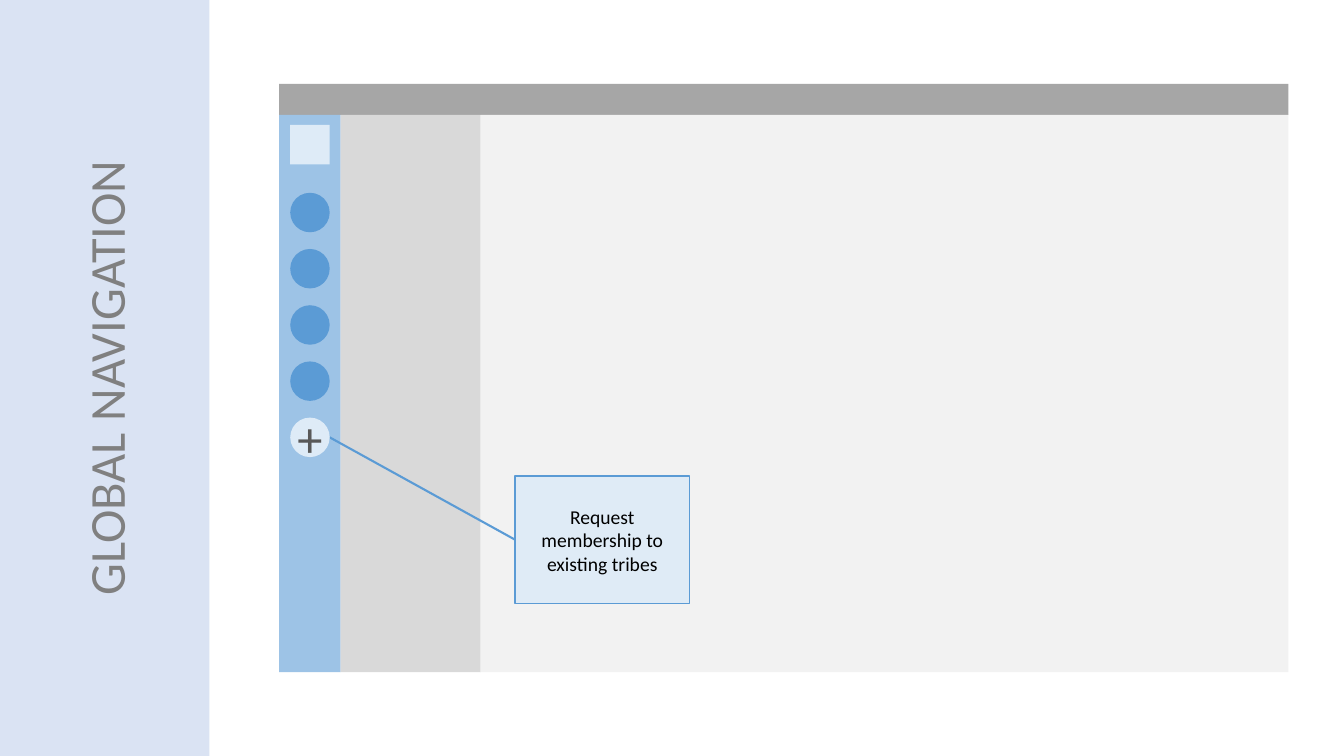
from typing import NamedTuple

from lxml.etree import SubElement
from pptx import Presentation
from pptx.dml.color import RGBColor
from pptx.enum.shapes import MSO_CONNECTOR, MSO_SHAPE
from pptx.enum.text import MSO_ANCHOR, PP_ALIGN
from pptx.oxml.ns import qn
from pptx.shapes.autoshape import Shape
from pptx.slide import Slide
from pptx.util import Pt

HEADER_GREY = RGBColor(0xA6, 0xA6, 0xA6)
SIDEBAR_GREY = RGBColor(0xD9, 0xD9, 0xD9)
CONTENT_GREY = RGBColor(0xF2, 0xF2, 0xF2)
TITLE_GREY = RGBColor(0x80, 0x80, 0x80)
PLUS_GREY = RGBColor(0x59, 0x59, 0x59)
RAIL_BLUE = RGBColor(0x9D, 0xC3, 0xE6)
TITLE_BLUE = RGBColor(0xDA, 0xE3, 0xF3)
PALE_BLUE = RGBColor(0xDE, 0xEB, 0xF7)
ACCENT_BLUE = RGBColor(0x5B, 0x9B, 0xD5)
BLACK = RGBColor(0, 0, 0)

FONT = "Calibri"
SLIDE_WIDTH, SLIDE_HEIGHT = 960, 540
FRAME_LEFT, FRAME_TOP = 199.4, 59.9
HEADER_HEIGHT, BODY_HEIGHT = 22.2, 398
RAIL_WIDTH, SIDEBAR_WIDTH, CONTENT_WIDTH = 44, 100, 577
ICON_SIZE = 28.2
FIRST_TRIBE_TOP, TRIBE_STEP, TRIBE_COUNT = 137.7, 40.15, 4


class Part(NamedTuple):
    left: float
    top: float
    width: float
    height: float
    fill: RGBColor
    preset: MSO_SHAPE = MSO_SHAPE.RECTANGLE


def draw(slide: Slide, part: Part) -> Shape:
    shape = slide.shapes.add_shape(
        part.preset, Pt(part.left), Pt(part.top), Pt(part.width), Pt(part.height)
    )
    shape.shadow.inherit = False
    shape.fill.solid()
    shape.fill.fore_color.rgb = part.fill
    shape.line.fill.background()
    return shape


def write(shape: Shape, text: str, *, size: float, color: RGBColor,
          inset: float | None = None, vertical: str | None = None) -> None:
    """Centre text in a shape; vertical is a bodyPr text direction."""
    frame = shape.text_frame
    frame.word_wrap = True
    frame.vertical_anchor = MSO_ANCHOR.MIDDLE
    if inset is not None:
        frame.margin_left = frame.margin_right = Pt(inset)
        frame.margin_top = frame.margin_bottom = Pt(inset)
    if vertical:
        frame._txBody.bodyPr.set("vert", vertical)
    paragraph = frame.paragraphs[0]
    paragraph.alignment = PP_ALIGN.CENTER
    run = paragraph.add_run()
    run.text = text
    run.font.name = FONT
    run.font.size = Pt(size)
    run.font.color.rgb = color


def set_opacity(shape: Shape, percent: int) -> None:
    color = shape._element.spPr.find(qn("a:solidFill"))[0]
    SubElement(color, qn("a:alpha")).set("val", str(percent * 1000))


def connect(slide: Slide, start: Part, end: Part) -> None:
    """Join the right middle of start to the left middle of end."""
    link = slide.shapes.add_connector(
        MSO_CONNECTOR.STRAIGHT,
        Pt(start.left + start.width), Pt(start.top + start.height / 2),
        Pt(end.left), Pt(end.top + end.height / 2),
    )
    link.line.color.rgb = ACCENT_BLUE
    link.line.width = Pt(1.5)
    SubElement(link._element.spPr, qn("a:effectLst"))


def draw_wireframe(slide: Slide) -> None:
    columns = (
        (RAIL_WIDTH, RAIL_BLUE),
        (SIDEBAR_WIDTH, SIDEBAR_GREY),
        (CONTENT_WIDTH, CONTENT_GREY),
    )
    frame_width = sum(width for width, _ in columns)
    draw(slide, Part(FRAME_LEFT, FRAME_TOP, frame_width, HEADER_HEIGHT, HEADER_GREY))
    left = FRAME_LEFT
    for width, fill in columns:
        draw(slide, Part(left, FRAME_TOP + HEADER_HEIGHT, width, BODY_HEIGHT, fill))
        left += width


def draw_navigation(slide: Slide) -> None:
    icon_left = FRAME_LEFT + (RAIL_WIDTH - ICON_SIZE) / 2
    draw(slide, Part(icon_left, 89.2, ICON_SIZE, ICON_SIZE, PALE_BLUE))
    *tribes, join = (
        Part(icon_left, FIRST_TRIBE_TOP + index * TRIBE_STEP, ICON_SIZE, ICON_SIZE,
             ACCENT_BLUE if index < TRIBE_COUNT else PALE_BLUE, MSO_SHAPE.OVAL)
        for index in range(TRIBE_COUNT + 1)
    )
    for tribe in tribes:
        draw(slide, tribe)

    callout = Part(367.9, 340.1, 124.7, 90.8, PALE_BLUE)
    callout_box = draw(slide, callout)
    set_opacity(callout_box, 90)
    callout_box.line.color.rgb = ACCENT_BLUE
    callout_box.line.width = Pt(1)
    write(callout_box, "Request membership to existing tribes", size=14, color=BLACK)
    connect(slide, join, callout)
    write(draw(slide, join), "+", size=36, color=PLUS_GREY, inset=0)


def main() -> None:
    deck = Presentation()
    deck.slide_width, deck.slide_height = Pt(SLIDE_WIDTH), Pt(SLIDE_HEIGHT)
    slide = deck.slides.add_slide(deck.slide_layouts[6])
    draw_wireframe(slide)
    title_band = draw(slide, Part(0, 0, 149.6, SLIDE_HEIGHT, TITLE_BLUE))
    write(title_band, "GLOBAL NAVIGATION", size=36, color=TITLE_GREY, vertical="vert270")
    draw_navigation(slide)
    deck.save("out.pptx")


if __name__ == "__main__":
    main()
